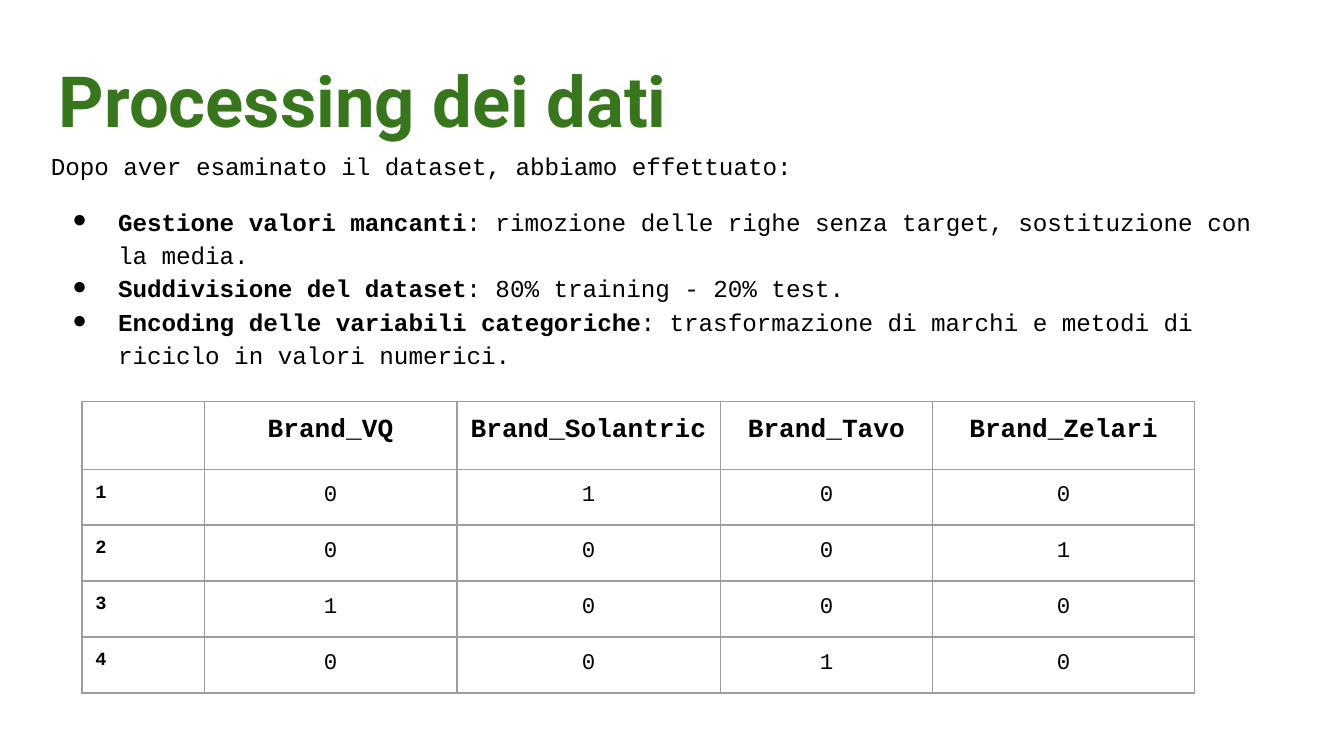
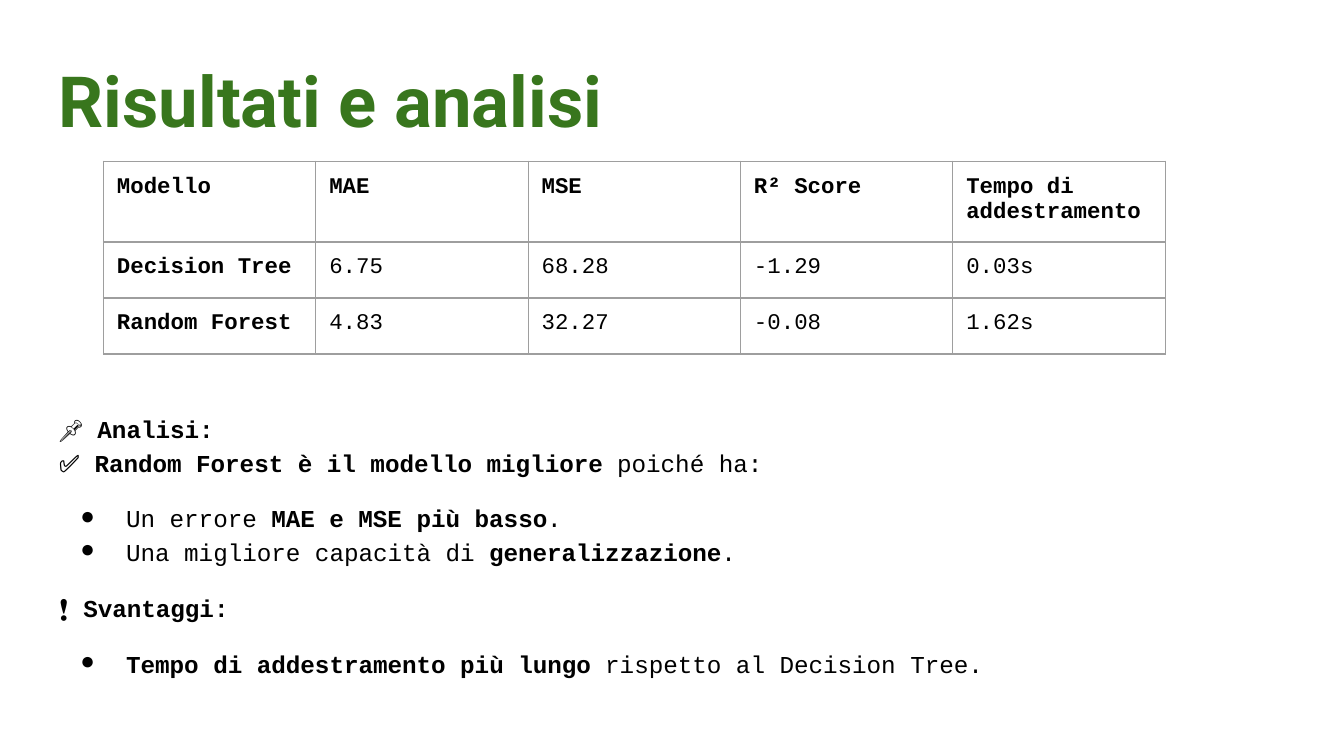
from dataclasses import dataclass

from lxml import etree
from pptx import Presentation
from pptx.dml.color import RGBColor
from pptx.enum import text
from pptx.oxml import ns
from pptx.util import Inches, Pt

GREEN, BLACK, GREY = "38761D", "000000", "9E9E9E"
TITLE_FONT, BODY_FONT = "Roboto", "Courier New"
BODY_SIZE, EMPTY_CELL_SIZE = 13, 18
MARGIN = Inches(0.1)
LEFT, CENTER = text.PP_ALIGN.LEFT, text.PP_ALIGN.CENTER


@dataclass(frozen=True)
class Box:
    left: float
    top: float
    width: float
    height: float


@dataclass(frozen=True)
class Line:
    """A paragraph whose bold parts stand between ** marks."""
    words: str
    bullet: bool = False
    space_before: float = 0


@dataclass(frozen=True)
class Grid:
    left: float
    top: float
    widths: tuple[float, ...]
    rows: tuple[tuple[str, ...], ...]
    header_size: float = 12
    label_size: float = 12
    value_align: text.PP_ALIGN = LEFT
    row_height: float = 5 / 12


TITLE_BOX = Box(0.34, 0.32, 9.32, 0.88)


def color(hex_code: str) -> RGBColor:
    return RGBColor.from_string(hex_code)


def set_font(paragraph, name: str, size: float, hex_code: str) -> None:
    """Set the runs, so bullets and line heights follow; an empty paragraph takes it itself."""
    for target in paragraph.runs or (paragraph,):
        target.font.name = name
        target.font.size = Pt(size)
        target.font.color.rgb = color(hex_code)


def add_text_frame(slide, box: Box):
    shape = slide.shapes.add_textbox(
        Inches(box.left), Inches(box.top), Inches(box.width), Inches(box.height))
    frame = shape.text_frame
    frame.word_wrap = True
    frame.margin_left = frame.margin_right = MARGIN
    frame.margin_top = frame.margin_bottom = MARGIN
    return frame


def add_title(slide, title: str) -> None:
    paragraph = add_text_frame(slide, TITLE_BOX).paragraphs[0]
    paragraph.text = title
    set_font(paragraph, TITLE_FONT, 37.8, GREEN)
    paragraph.font.bold = True


def add_bullet(paragraph) -> None:
    properties = paragraph._p.get_or_add_pPr()
    properties.set("marL", str(Inches(0.5)))
    properties.set("indent", str(Inches(-0.34)))
    bullet_color = etree.SubElement(properties, ns.qn("a:buClr"))
    etree.SubElement(bullet_color, ns.qn("a:srgbClr"), val=BLACK)
    etree.SubElement(properties, ns.qn("a:buFont"), typeface=BODY_FONT)
    etree.SubElement(properties, ns.qn("a:buChar"), char="●")


def add_body(slide, box: Box, lines: list[Line]) -> None:
    frame = add_text_frame(slide, box)
    for index, line in enumerate(lines):
        paragraph = frame.add_paragraph() if index else frame.paragraphs[0]
        paragraph.line_spacing = 1.15
        paragraph.space_before = Pt(line.space_before)
        if line.bullet:
            add_bullet(paragraph)
        for row, words in enumerate(line.words.split("\n")):
            if row:
                paragraph.add_line_break()
            for part, piece in enumerate(words.split("**")):
                if piece:
                    run = paragraph.add_run()
                    run.text = piece
                    run.font.bold = part % 2 == 1
        set_font(paragraph, BODY_FONT, BODY_SIZE, BLACK)


def add_borders(cell) -> None:
    properties = cell._tc.get_or_add_tcPr()
    for position, side in enumerate(("lnL", "lnR", "lnT", "lnB")):
        border = etree.Element(ns.qn(f"a:{side}"), w=str(Pt(0.75)))
        fill = etree.SubElement(border, ns.qn("a:solidFill"))
        etree.SubElement(fill, ns.qn("a:srgbClr"), val=GREY)
        properties.insert(position, border)


def add_grid(slide, grid: Grid) -> None:
    table = slide.shapes.add_table(
        len(grid.rows), len(grid.widths), Inches(grid.left), Inches(grid.top),
        Inches(sum(grid.widths)), Inches(grid.row_height * len(grid.rows))).table
    table.first_row = table.horz_banding = False
    for column, width in zip(table.columns, grid.widths):
        column.width = Inches(width)
    for row_index, row in enumerate(grid.rows):
        table.rows[row_index].height = Inches(grid.row_height)
        for column_index, words in enumerate(row):
            cell = table.cell(row_index, column_index)
            cell.margin_left = cell.margin_right = MARGIN
            cell.margin_top = cell.margin_bottom = MARGIN
            cell.fill.background()
            add_borders(cell)
            paragraph = cell.text_frame.paragraphs[0]
            if not words:
                set_font(paragraph, BODY_FONT, EMPTY_CELL_SIZE, BLACK)
                continue
            is_header, is_label = row_index == 0, column_index == 0
            size = (grid.header_size if is_header
                    else grid.label_size if is_label else 12)
            paragraph.text = words
            paragraph.alignment = LEFT if is_label else grid.value_align
            set_font(paragraph, BODY_FONT, size, BLACK)
            paragraph.font.bold = is_header or is_label


def add_processing_slide(slide) -> None:
    add_title(slide, "Processing dei dati")
    add_body(slide, Box(0.28, 0.99, 9.32, 3.65), [
        Line("Dopo aver esaminato il dataset, abbiamo effettuato:"),
        Line("**Gestione valori mancanti**: rimozione delle righe senza target, "
             "sostituzione con la media.", bullet=True, space_before=12),
        Line("**Suddivisione del dataset**: 80% training - 20% test.", bullet=True),
        Line("**Encoding delle variabili categoriche**: trasformazione di marchi "
             "e metodi di riciclo in valori numerici.", bullet=True),
    ])
    brands = ("VQ", "Solantric", "Tavo", "Zelari")
    encoded = ("Solantric", "Zelari", "VQ", "Tavo")
    header = ("", *(f"Brand_{brand}" for brand in brands))
    one_hot = tuple(
        (str(number), *(str(int(brand == chosen)) for brand in brands))
        for number, chosen in enumerate(encoded, start=1))
    add_grid(slide, Grid(
        0.61, 2.99, (0.91, 1.88, 1.96, 1.58, 1.95), (header, *one_hot),
        header_size=14, label_size=10, value_align=CENTER))


def add_results_slide(slide) -> None:
    add_title(slide, "Risultati e analisi")
    add_body(slide, Box(0.34, 2.95, 9.32, 2.31), [
        Line("**📌 Analisi:**\n✅ **Random Forest è il modello migliore** poiché ha:",
             space_before=12),
        Line("Un errore **MAE e MSE più basso**.", bullet=True, space_before=12),
        Line("Una migliore capacità di **generalizzazione**.", bullet=True),
        Line("❗ **Svantaggi:**", space_before=12),
        Line("**Tempo di addestramento più lungo** rispetto al Decision Tree.",
             bullet=True, space_before=12),
    ])
    add_grid(slide, Grid(0.77, 1.2, (1.58,) * 5, (
        ("Modello", "MAE", "MSE", "R² Score", "Tempo di addestramento"),
        ("Decision Tree", "6.75", "68.28", "-1.29", "0.03s"),
        ("Random Forest", "4.83", "32.27", "-0.08", "1.62s"),
    )))


def main() -> None:
    presentation = Presentation()
    presentation.slide_width = Inches(10)
    presentation.slide_height = presentation.slide_width * 9 // 16
    blank = presentation.slide_layouts[6]
    for fill_slide in (add_processing_slide, add_results_slide):
        fill_slide(presentation.slides.add_slide(blank))
    presentation.save("out.pptx")


if __name__ == "__main__":
    main()
